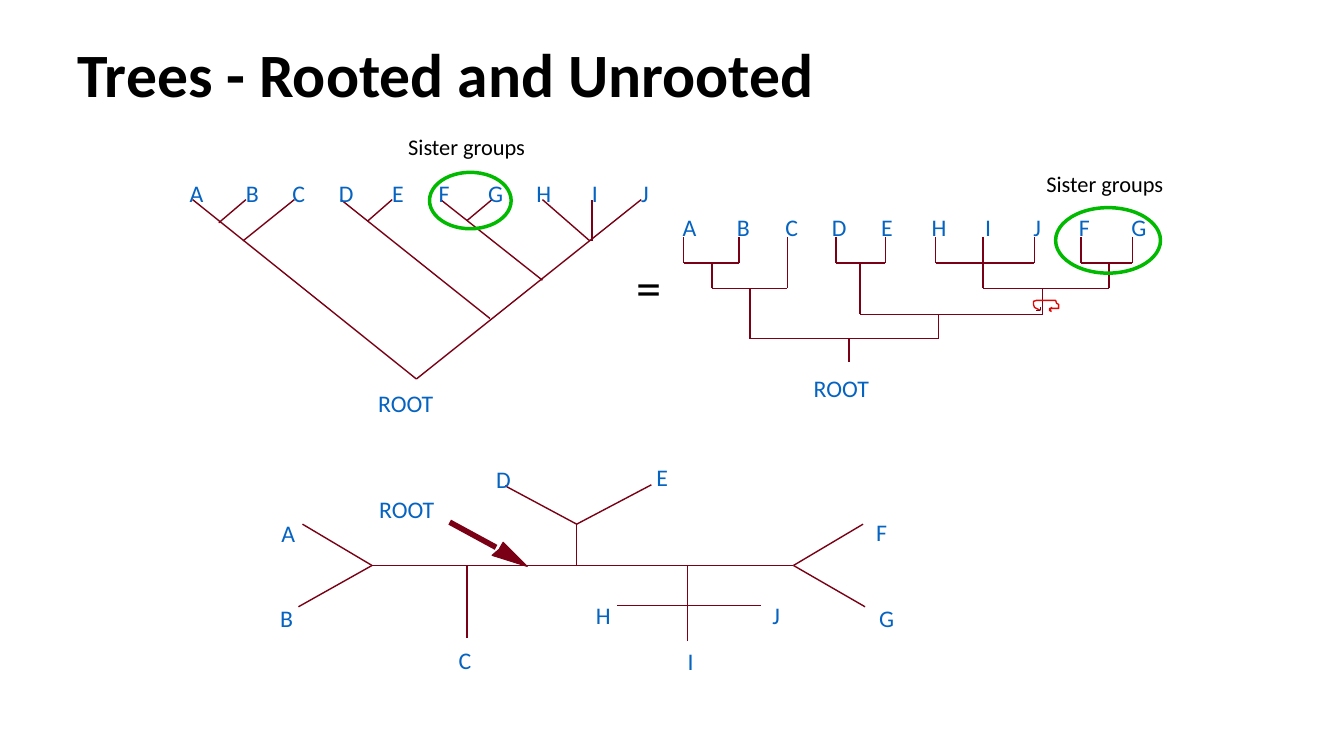
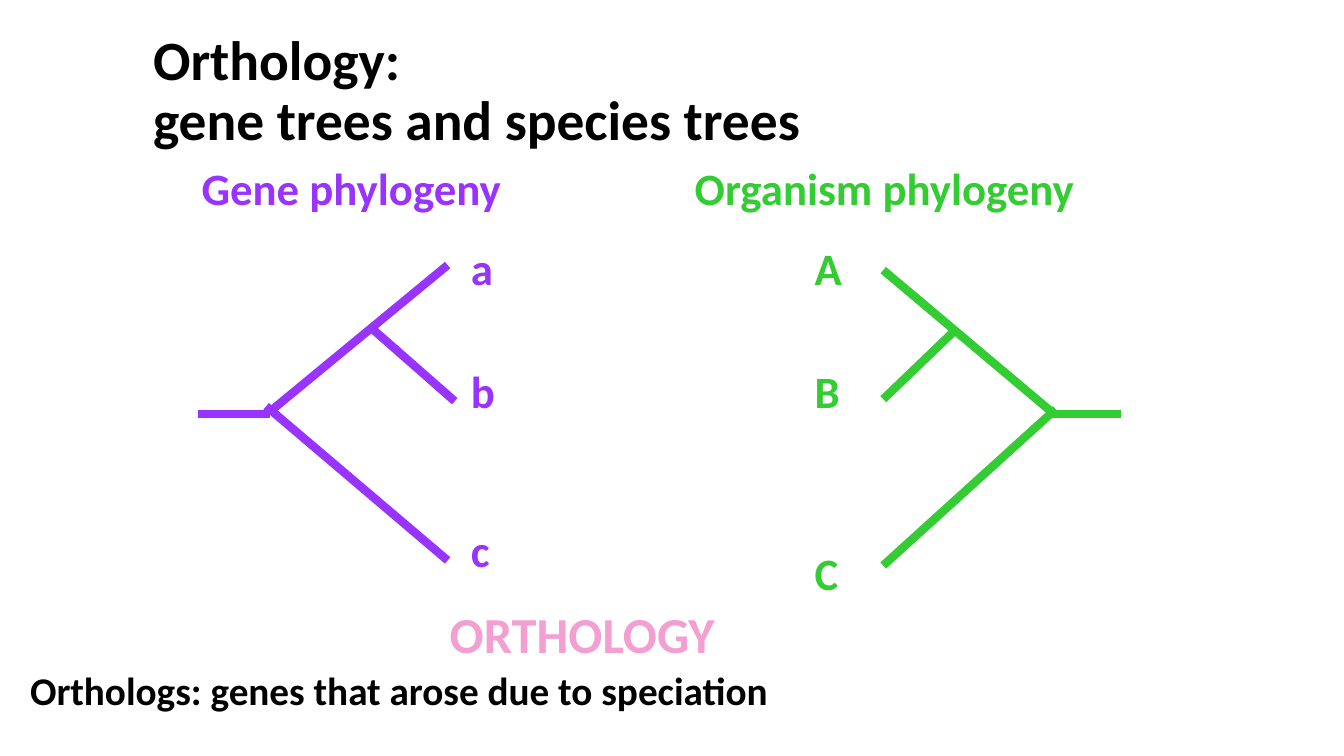
from dataclasses import dataclass

from lxml.etree import SubElement
from pptx import Presentation
from pptx.dml.color import RGBColor
from pptx.enum.shapes import MSO_CONNECTOR, MSO_SHAPE
from pptx.enum.text import MSO_ANCHOR, MSO_AUTO_SIZE
from pptx.oxml.ns import qn
from pptx.util import Inches, Pt


@dataclass(frozen=True)
class Theme:
    font: str = "Calibri"
    black: str = "000000"
    branch: str = "790015"
    taxon: str = "0563C1"
    ring: str = "00BA00"
    rotation: str = "DD0806"
    gene: str = "9933FF"
    organism: str = "33CC33"
    orthology: str = "F39FD1"
    title_size: float = 44
    long_title_size: float = 39.6
    symbol_size: float = 36
    panel_size: float = 32
    definition_size: float = 28
    note_size: float = 16
    taxon_size: float = 17
    thin: float = 1
    ring_width: float = 2.5
    arrow: float = 4
    thick: float = 6


THEME = Theme()
NO_INSETS = (0, 0)
DEFAULT_INSETS = (0.1, 0.05)
PANEL_INSETS = (0.12, 0.06)
TAXON_WIDTHS = {"A": 0.14, "B": 0.13, "C": 0.13, "D": 0.15, "E": 0.12, "F": 0.11,
                "G": 0.15, "H": 0.15, "I": 0.06, "J": 0.08, "ROOT": 0.56}


def set_values(target, values):
    for name, value in values.items():
        setattr(target, name, value)


class Deck:
    def __init__(self, theme):
        self.theme = theme
        self.presentation = Presentation()
        set_values(self.presentation, {"slide_width": Inches(13.33), "slide_height": Inches(7.5)})
        self.slide = None

    def new_slide(self):
        self.slide = self.presentation.slides.add_slide(self.presentation.slide_layouts[6])

    def text(self, text, box, size, color, bold=False, insets=DEFAULT_INSETS,
             wrap=False, grow=True, **paragraph_format):
        shape = self.slide.shapes.add_textbox(*map(Inches, box))
        frame = shape.text_frame
        side, edge = map(Inches, insets)
        set_values(frame, {
            "text": text, "word_wrap": wrap,
            "auto_size": MSO_AUTO_SIZE.SHAPE_TO_FIT_TEXT if grow else MSO_AUTO_SIZE.NONE,
            "margin_left": side, "margin_right": side,
            "margin_top": edge, "margin_bottom": edge})
        paragraph = frame.paragraphs[0]
        set_values(paragraph, paragraph_format)
        for run in paragraph.runs:
            set_values(run.font, {"name": self.theme.font, "size": Pt(size), "bold": bold})
            run.font.color.rgb = RGBColor.from_string(color)
        return shape

    def title(self, text, box, size):
        shape = self.text(text, box, size, self.theme.black, bold=True, wrap=True,
                          grow=False, line_spacing=0.9)
        shape.text_frame.vertical_anchor = MSO_ANCHOR.MIDDLE

    def taxa(self, *labels):
        for text, left, top in labels:
            self.text(text, (left, top, TAXON_WIDTHS[text], 0.29), self.theme.taxon_size,
                      self.theme.taxon, insets=NO_INSETS)

    def stroke(self, shape, color, width):
        shape.line.color.rgb = RGBColor.from_string(color)
        shape.line.width = Pt(width)

    def lines(self, color, width, *segments):
        for segment in segments:
            connector = self.slide.shapes.add_connector(
                MSO_CONNECTOR.STRAIGHT, *map(Inches, segment))
            self.stroke(connector, color, width)
            SubElement(connector._element.spPr, qn("a:effectLst"))

    def branches(self, *segments):
        self.lines(self.theme.branch, self.theme.thin, *segments)

    def bracket(self, left, left_top, right, right_top, level):
        """Drop two lineages to a level and join them there."""
        self.branches((left, left_top, left, level), (right, right_top, right, level),
                      (left, level, right, level))

    def fork(self, first_tip, second_tip, node, stem_end):
        """Join two tips at a node that ends in a stem."""
        self.branches(*((*end, *node) for end in (first_tip, second_tip, stem_end)))

    def outline(self, points, color, width, filled=False):
        start, *others = [tuple(map(Inches, point)) for point in points]
        builder = self.slide.shapes.build_freeform(*start, scale=1.0)
        builder.add_line_segments(others, close=filled)
        shape = builder.convert_to_shape()
        shape.shadow.inherit = False
        if filled:
            shape.fill.solid()
            shape.fill.fore_color.rgb = RGBColor.from_string(color)
        else:
            shape.fill.background()
        self.stroke(shape, color, width)

    def sister_group(self, label_place, ring_box):
        self.text("Sister groups", (*label_place, 1.37, 0.37), self.theme.note_size,
                  self.theme.black, wrap=True)
        ring = self.slide.shapes.add_shape(MSO_SHAPE.OVAL, *map(Inches, ring_box))
        ring.shadow.inherit = False
        ring.fill.background()
        self.stroke(ring, self.theme.ring, self.theme.ring_width)

    def panel_text(self, text, box, color, size=None):
        self.text(text, box, size or self.theme.panel_size, color, bold=True,
                  insets=PANEL_INSETS)


def draw_unrooted_tree(deck):
    axis = 5.61
    deck.fork((8.56, 5.2), (8.58, 6.02), (7.87, axis), (7.17, axis))
    deck.fork((3, 5.2), (2.96, 6.02), (3.69, axis), (4.37, axis))
    deck.fork((5.01, 4.82), (6.46, 4.81), (5.72, 5.2), (5.72, axis))
    deck.branches((6.12, 6.01, 7.55, 6.01), (6.82, 6.36, 6.82, axis),
                  (7.21, axis, 4.37, axis), (4.63, axis, 4.63, 6.33))
    deck.outline([(5.23, 5.62), (4.88, 5.51), (4.95, 5.45), (4.99, 5.38)],
                 THEME.branch, 0.75, filled=True)
    deck.lines(THEME.branch, THEME.arrow, (4.46, 5.18, 4.92, 5.43))
    deck.taxa(("ROOT", 3.76, 4.91), ("A", 2.79, 5.15), ("B", 2.78, 5.99), ("C", 4.55, 6.41),
              ("D", 4.92, 4.61), ("E", 6.51, 4.59), ("F", 8.69, 5.14), ("G", 8.72, 5.99),
              ("H", 5.91, 5.96), ("I", 6.82, 6.42), ("J", 7.66, 5.96))


def draw_bracket_tree(deck):
    tips, pairs, triples, inner, root = 2.35, 2.61, 2.86, 3.12, 3.36
    for left, right in ((6.78, 7.33), (8.29, 8.78), (9.28, 10.26), (10.72, 11.23)):
        deck.bracket(left, tips, right, tips, pairs)
    deck.bracket(7.06, pairs, 7.81, tips, triples)
    deck.bracket(9.75, tips, 11, pairs, triples)
    deck.bracket(8.53, pairs, 10.34, triples, inner)
    deck.bracket(7.44, triples, 9.31, inner, root)
    deck.branches((8.42, root, 8.42, 3.59))
    letters = zip("ABCDEHIJFG",
                  (6.77, 7.31, 7.79, 8.25, 8.74, 9.24, 9.77, 10.25, 10.7, 11.22))
    deck.taxa(*((letter, left, 2.11) for letter, left in letters), ("ROOT", 8.07, 3.71))
    deck.outline([(10.32, 3.08), (10.26, 3.05), (10.25, 3.02), (10.25, 2.99), (10.28, 2.98),
                  (10.47, 2.98), (10.48, 3.01), (10.5, 3.02), (10.5, 3.06), (10.41, 3.06),
                  (10.41, 3.08), (10.43, 3.05), (10.41, 3.08), (10.43, 3.09)],
                 THEME.rotation, THEME.thin)
    deck.branches((10.32, 3.08, 10.32, 3.05), (10.32, 3.08, 10.28, 3.08))


def draw_slanted_tree(deck):
    tips = 1.98
    deck.branches((1.91, tips, 4.13, 3.76), (4.13, 3.76, 6.36, tips),
                  (4.37, tips, 5.38, 2.78), (4.88, tips, 4.63, 2.19),
                  (5.38, tips, 5.85, 2.39), (5.87, 2.39, 5.87, tips),
                  (3.38, tips, 4.86, 3.16), (3.65, 2.19, 3.89, tips),
                  (2.17, 2.21, 2.44, tips), (2.41, 2.39, 2.92, tips))
    letters = zip("ABCDEFGHIJ",
                  (1.88, 2.44, 2.9, 3.36, 3.89, 4.35, 4.84, 5.32, 5.87, 6.36))
    deck.taxa(*((letter, left, 1.77) for letter, left in letters), ("ROOT", 3.75, 3.86))


def add_rooted_and_unrooted(deck):
    deck.new_slide()
    deck.title("Trees - Rooted and Unrooted", (0.67, 0.3, 12, 0.93), THEME.title_size)
    draw_unrooted_tree(deck)
    draw_bracket_tree(deck)
    draw_slanted_tree(deck)
    deck.sister_group((3.95, 1.27), (4.26, 1.71, 0.81, 0.56))
    deck.sister_group((10.28, 1.64), (10.47, 2.06, 1.04, 0.65))
    deck.text("=", (6.21, 2.49, 0.45, 0.71), THEME.symbol_size, THEME.black)


def add_orthology(deck):
    deck.new_slide()
    deck.panel_text("ORTHOLOGY", (4.34, 5.92, 2.92, 0.73), THEME.orthology, THEME.symbol_size)
    panels = (
        (THEME.gene, ("Gene phylogeny", 1.88, 3.26), 4.55,
         (("a", 2.33, 0.47), ("b", 3.55, 0.49), ("c", 5.13, 0.43)),
         ((4.44, 2.63, 2.67, 4.09), (4.44, 5.56, 2.64, 4.03),
          (4.51, 3.98, 3.69, 3.26), (2.68, 4.11, 1.96, 4.11))),
        (THEME.organism, ("Organism phylogeny", 6.77, 4.08), 7.96,
         (("A", 2.33, 0.52), ("B", 3.55, 0.5), ("C", 5.35, 0.48)),
         ((8.76, 2.68, 10.47, 4.12), (8.76, 5.61, 10.47, 4.06),
          (8.76, 3.96, 9.49, 3.26), (11.12, 4.11, 10.4, 4.11))),
    )
    for color, (heading, left, width), tip_left, tips, segments in panels:
        deck.panel_text(heading, (left, 1.53, width, 0.66), color)
        for tip, top, tip_width in tips:
            deck.panel_text(tip, (tip_left, top, tip_width, 0.66), color)
        deck.lines(color, THEME.thick, *segments)
    deck.title("Orthology:\vgene trees and species trees", (1.42, 0.29, 11.34, 1.25),
               THEME.long_title_size)
    deck.text("Orthologs: genes that arose due to speciation", (0.2, 6.56, 10.6, 0.6),
              THEME.definition_size, THEME.black, bold=True, wrap=True, grow=False)


def main():
    deck = Deck(THEME)
    add_rooted_and_unrooted(deck)
    add_orthology(deck)
    deck.presentation.save("out.pptx")


if __name__ == "__main__":
    main()
